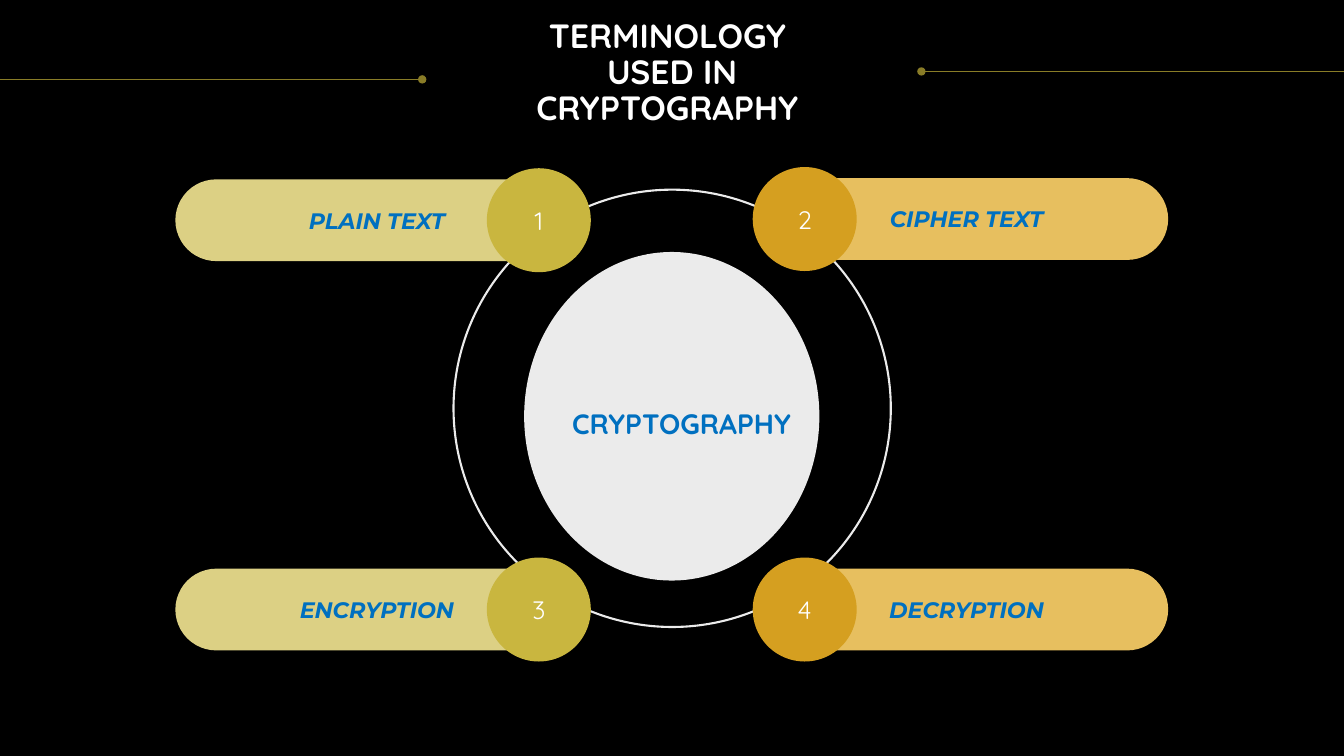
from lxml import etree
from pptx import Presentation
from pptx.dml.color import RGBColor
from pptx.enum.shapes import MSO_CONNECTOR as Connector, MSO_SHAPE as Shape
from pptx.enum.text import MSO_ANCHOR as Anchor, MSO_AUTO_SIZE as AutoSize, PP_ALIGN as Align
from pptx.oxml.ns import qn
from pptx.util import Cm, Pt

BLACK = RGBColor(0x00, 0x00, 0x00)
WHITE = RGBColor(0xFF, 0xFF, 0xFF)
GREY = RGBColor(0xEB, 0xEB, 0xEB)
BLUE = RGBColor(0x00, 0x70, 0xC0)
OLIVE = RGBColor(0x89, 0x7C, 0x27)
PALE_LIME = RGBColor(0xDC, 0xD0, 0x84)
LIME = RGBColor(0xC9, 0xB6, 0x3F)
PALE_AMBER = RGBColor(0xE7, 0xBF, 0x5F)
AMBER = RGBColor(0xD5, 0x9F, 0x20)

PILL_WIDTH, PILL_HEIGHT, BADGE = 10.16, 2.06, 2.62
LEFT_SIDE = (4.42, 13.58, PALE_LIME, LIME)
RIGHT_SIDE = (19.28, 20.28, PALE_AMBER, AMBER)
TERMS = [
    ("2", "CIPHER TEXT", RIGHT_SIDE, 5.52),
    ("4", "DECRYPTION", RIGHT_SIDE, 15.36),
    ("1", "PLAIN TEXT", LEFT_SIDE, 5.55),
    ("3", "ENCRYPTION", LEFT_SIDE, 15.36),
]


def write(frame, text, size, color, font="Quicksand", bold=False, italic=False,
          align=Align.CENTER, anchor=Anchor.MIDDLE, spacing=1.0):
    """Fill a text frame with one formatted paragraph per line of text."""
    frame.word_wrap = True
    frame.vertical_anchor = anchor
    frame.text = text
    for paragraph in frame.paragraphs:
        paragraph.alignment = align
        paragraph.line_spacing = spacing
        paragraph.space_before = paragraph.space_after = Pt(0)
        for run in paragraph.runs:
            run.font.name = font
            run.font.size = Pt(size)
            run.font.bold = bold
            run.font.italic = italic
            run.font.color.rgb = color


class TermSlide:
    """Draw the elements of the terminology slide in one style."""

    def __init__(self, presentation):
        """Add a title-only slide with a black background."""
        self.slide = presentation.slides.add_slide(presentation.slide_layouts[5])
        self.slide.background.fill.solid()
        self.slide.background.fill.fore_color.rgb = BLACK

    def title(self, text, left, top, width, height):
        """Place and format the title placeholder."""
        title = self.slide.shapes.title
        title.left, title.top, title.width, title.height = map(Cm, (left, top, width, height))
        frame = title.text_frame
        frame.margin_left = frame.margin_right = frame.margin_top = frame.margin_bottom = 0
        frame.auto_size = AutoSize.NONE
        write(frame, text, 24, WHITE, bold=True, anchor=Anchor.TOP, spacing=0.9)

    def shape(self, kind, left, top, width, height, fill=None, line=None):
        """Add a flat preset shape with an optional fill and outline."""
        shape = self.slide.shapes.add_shape(kind, *map(Cm, (left, top, width, height)))
        shape.shadow.inherit = False
        if fill is None:
            shape.fill.background()
        else:
            shape.fill.solid()
            shape.fill.fore_color.rgb = fill
        if line is None:
            shape.line.fill.background()
        else:
            shape.line.color.rgb = line
            shape.line.width = Pt(1.5)
        return shape

    def dotted_line(self, dot_x, edge_x, y):
        """Run a line from a round dot to the slide edge."""
        line = self.slide.shapes.add_connector(
            Connector.STRAIGHT, *map(Cm, (dot_x, y, edge_x, y)))
        line.line.color.rgb = OLIVE
        line.line.width = Pt(0.75)
        etree.SubElement(line.line._get_or_add_ln(), qn("a:headEnd"), type="oval")
        etree.SubElement(line._element.spPr, qn("a:effectLst"))

    def term(self, number, name, side, center_y):
        """Add a pill with its term and the numbered badge over its inner end."""
        pill_left, badge_x, pale, strong = side
        pill = self.shape(Shape.ROUNDED_RECTANGLE, pill_left, center_y - PILL_HEIGHT / 2,
                          PILL_WIDTH, PILL_HEIGHT, fill=pale)
        pill.adjustments[0] = 0.5
        write(pill.text_frame, name, 16, BLUE, font="Montserrat", bold=True, italic=True)
        badge = self.shape(Shape.OVAL, badge_x - BADGE / 2, center_y - BADGE / 2,
                           BADGE, BADGE, fill=strong)
        write(badge.text_frame, number, 18, WHITE)

    def label(self, text, left, top, width, height):
        """Add the text box naming the central topic."""
        box = self.slide.shapes.add_textbox(*map(Cm, (left, top, width, height)))
        write(box.text_frame, text, 20, BLUE, bold=True, align=Align.LEFT, anchor=Anchor.TOP)


def main():
    """Build and save the slide."""
    presentation = Presentation()
    presentation.slide_width, presentation.slide_height = Cm(33.87), Cm(19.05)
    slide = TermSlide(presentation)
    slide.shape(Shape.OVAL, 11.43, 4.78, 11.02, 11.02, line=GREY)
    slide.dotted_line(23.22, 33.87, 1.8)
    slide.title("TERMINOLOGY \nUSED IN\nCRYPTOGRAPHY ", 0.64, 0.48, 32.59, 3.84)
    slide.dotted_line(10.64, 0, 2)
    slide.shape(Shape.OVAL, 13.21, 6.35, 7.44, 8.28, fill=GREY)
    for term in TERMS:
        slide.term(*term)
    slide.label("CRYPTOGRAPHY", 14.17, 10.13, 6.15, 1.12)
    presentation.save("out.pptx")


if __name__ == "__main__":
    main()
